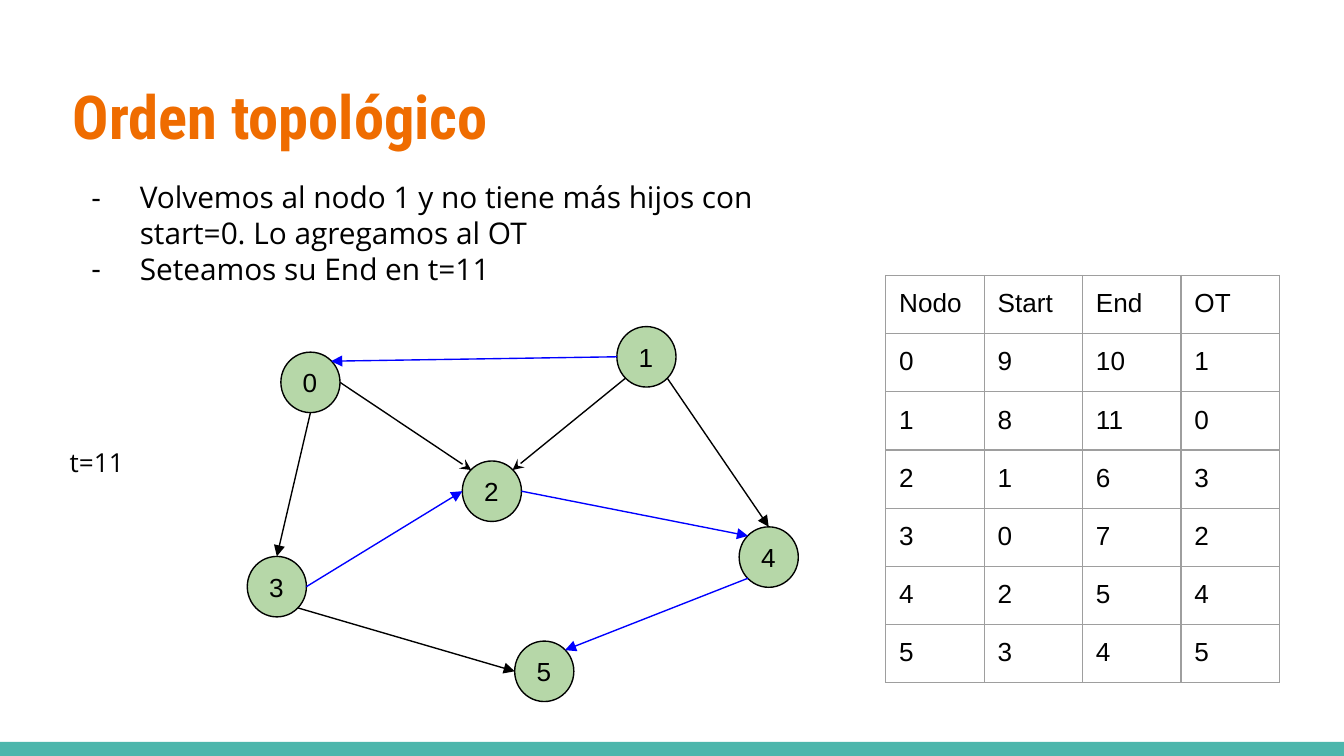
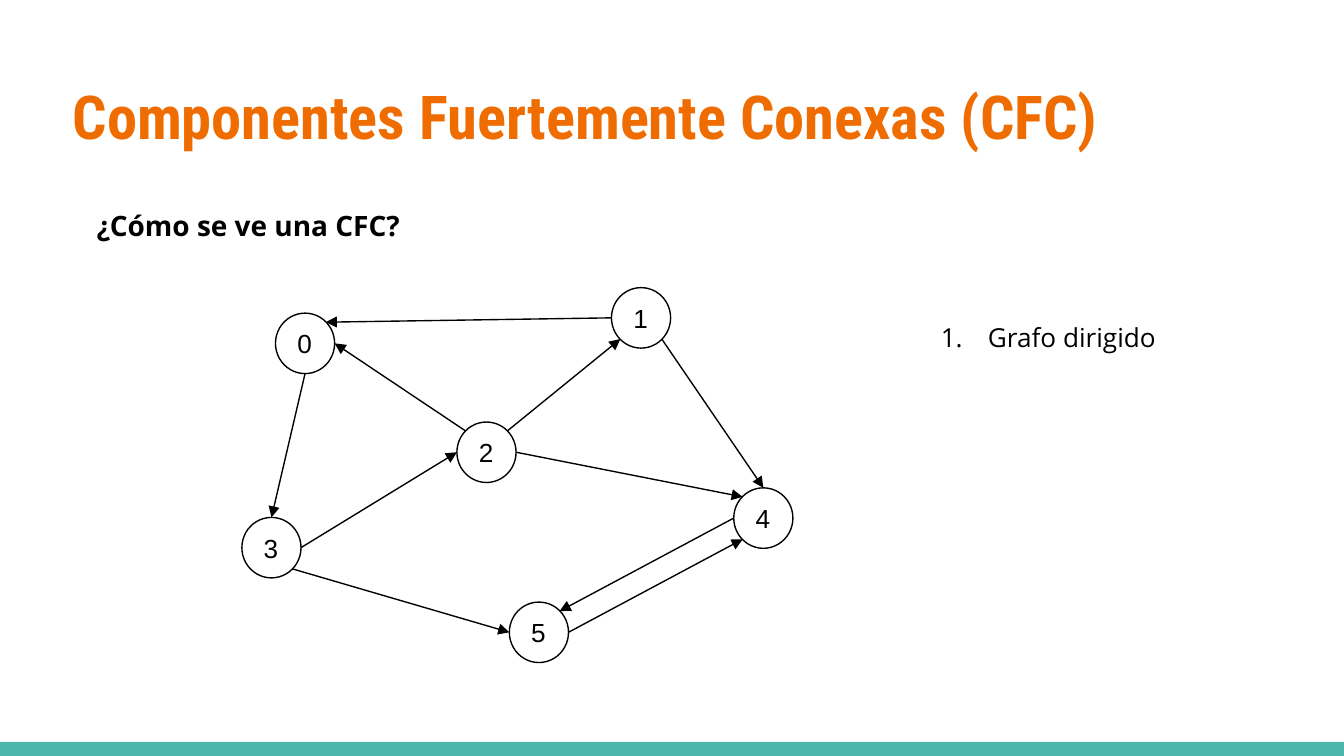
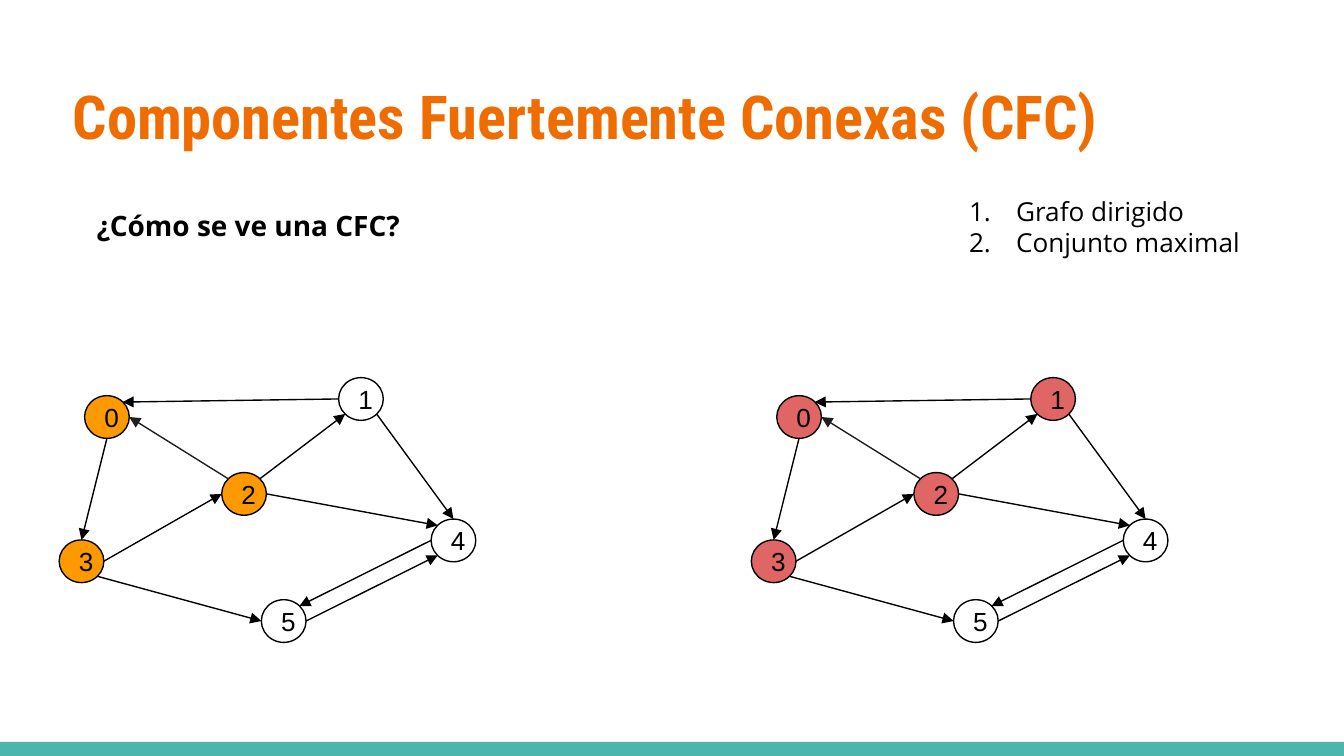
import lxml.etree
import pptx
import pptx.dml.color
import pptx.enum.shapes
import pptx.enum.text
import pptx.oxml.ns
import pptx.util

Inches = pptx.util.Inches
qn = pptx.oxml.ns.qn

HUES = {
    "black": "000000", "white": "FFFFFF", "title": "EF6C00", "band": "4DB6AC",
    "green": "B6D7A8", "orange": "FF9900", "red": "E06666", "blue": "0000FF",
    "dark": "1E1E1E", "grid": "9E9E9E",
}
WIDE = 10
HIGH = WIDE * 9 / 16
FULL = (4.10, 2.79)
SMALL = (3.10, 1.97)
DISC = (0.44, 0.45)
NODES = {"0": (0.25, 0.19), "2": (1.60, 1.00), "3": (0, 1.71),
         "5": (1.99, 2.34), "1": (2.75, 0), "4": (3.66, 1.49)}
SITES = {"N": (0.5, 0), "S": (0.5, 1), "E": (1, 0.5), "W": (0, 0.5),
         "NW": (0.15, 0.15), "NE": (0.85, 0.15),
         "SW": (0.15, 0.85), "SE": (0.85, 0.85)}
LINKS = ["0S 3N", "3E 2W", "2NW 0E", "1W 0NE", "2NE 1SW", "3SE 5W",
         "2E 4NW", "1SE 4N"]
CYCLE = LINKS + ["5E 4SW", "4W 5NE"]
ROWS = [
    ("Nodo", "Start", "End", "OT"),
    ("0", "9", "10", "1"),
    ("1", "8", "11", "0"),
    ("2", "1", "6", "3"),
    ("3", "0", "7", "2"),
    ("4", "2", "5", "4"),
    ("5", "3", "4", "5"),
]


def hue(name):
    """Return the named colour."""
    return pptx.dml.color.RGBColor.from_string(HUES[name])


def sub(node, tag, **attrs):
    """Append a child element with the given attributes."""
    return lxml.etree.SubElement(node, qn(tag), **attrs)


def tint(node, name):
    """Append a solid colour to an XML element."""
    sub(sub(node, "a:solidFill"), "a:srgbClr", val=HUES[name])


def put(frame, text, size=14, font="Open Sans", color="black", bold=False,
        mark=None, hang=0.36):
    """Write one paragraph per line of text, with an optional list mark."""
    for rank, line in enumerate(text.split("\n")):
        para = frame.add_paragraph() if rank else frame.paragraphs[0]
        para.alignment = pptx.enum.text.PP_ALIGN.LEFT
        para.space_before = pptx.util.Pt(0)
        run = para.add_run()
        run.text = line
        run.font.size = pptx.util.Pt(size)
        run.font.name = font
        run.font.bold = bold
        run.font.color.rgb = hue(color)
        if mark:
            props = para._p.get_or_add_pPr()
            props.set("marL", str(Inches(0.5)))
            props.set("indent", str(-Inches(hang)))
            sub(sub(props, "a:buClr"), "a:srgbClr", val=HUES["black"])
            sub(props, "a:buFont", typeface=font)
            if mark == "1.":
                sub(props, "a:buAutoNum", type="arabicPeriod")
            else:
                sub(props, "a:buChar", char=mark)


def pad(frame, anchor="TOP"):
    """Give a text frame even margins, wrapping and an anchor."""
    frame.margin_left = frame.margin_right = Inches(0.1)
    frame.margin_top = frame.margin_bottom = Inches(0.1)
    frame.word_wrap = True
    frame.auto_size = pptx.enum.text.MSO_AUTO_SIZE.NONE
    frame.vertical_anchor = pptx.enum.text.MSO_ANCHOR[anchor]
    return frame


def place(shape, box):
    """Move a placeholder to a box and return its text frame."""
    shape.left, shape.top, shape.width, shape.height = map(Inches, box)
    return pad(shape.text_frame)


def note(slide, box, text, **style):
    """Add a text box."""
    put(pad(slide.shapes.add_textbox(*map(Inches, box)).text_frame),
        text, **style)


def draw(slide, kind, box, fill, line=None):
    """Add a flat preset shape."""
    shape = slide.shapes.add_shape(
        pptx.enum.shapes.MSO_SHAPE[kind], *map(Inches, box))
    shape.shadow.inherit = False
    shape.fill.solid()
    shape.fill.fore_color.rgb = hue(fill)
    if line:
        shape.line.color.rgb = hue(line)
        shape.line.width = pptx.util.Pt(0.75)
    else:
        shape.line.fill.background()
    return shape


def arrow(slide, start, stop, color, end="tailEnd", tip="triangle"):
    """Add a straight arrow between two points."""
    line = slide.shapes.add_connector(
        pptx.enum.shapes.MSO_CONNECTOR.STRAIGHT, *map(Inches, start + stop))
    line.line.color.rgb = hue(color)
    line.line.width = pptx.util.Pt(0.75)
    props = line.element.spPr
    sub(props.find(qn("a:ln")), "a:" + end, type=tip)
    sub(props, "a:effectLst")


def graph(slide, box, links, fills, paint=None, back=()):
    """Draw the nodes and links of the graph, scaled to its box."""
    left, top, wide, high = box
    across, down = wide / FULL[0], high / FULL[1]

    def point(node, site):
        """Return the place of a site on a node."""
        (x, y), (dx, dy) = NODES[node], SITES[site]
        return (left + (x + dx * DISC[0]) * across,
                top + (y + dy * DISC[1]) * down)

    for name, (x, y) in NODES.items():
        disc = draw(slide, "OVAL", (left + x * across, top + y * down,
                                    DISC[0] * across, DISC[1] * down),
                    fills.get(name, "white"), "black")
        put(pad(disc.text_frame, "MIDDLE"), name, font="Arial")
    for link in links:
        start, stop = (point(end[0], end[1:]) for end in link.split())
        style = {"end": "headEnd", "tip": "stealth"} if link in back else {}
        arrow(slide, start, stop, (paint or {}).get(link, "black"), **style)


def table(slide, box, rows):
    """Add a plain ruled table."""
    grid = slide.shapes.add_table(
        len(rows), len(rows[0]), *map(Inches, box)).table
    grid.first_row = grid.horz_banding = False
    for r, row in enumerate(rows):
        for c, text in enumerate(row):
            cell = grid.cell(r, c)
            cell.margin_left = cell.margin_right = Inches(0.1)
            cell.margin_top = cell.margin_bottom = Inches(0.1)
            put(cell.text_frame, text, font="Arial")
            props = cell._tc.get_or_add_tcPr()
            for side in ("a:lnL", "a:lnR", "a:lnT", "a:lnB"):
                tint(sub(props, side, w=str(pptx.util.Pt(0.75))), "grid")
            cell.fill.background()


def start(deck, title, wide, items, box, **style):
    """Add a slide with its title and its list."""
    slide = deck.slides.add_slide(deck.slide_layouts[1])
    put(place(slide.shapes.title, (0.44, 0.49, wide, 0.77)), title,
        size=32.4, font="Roboto Condensed", color="title", bold=True)
    put(place(slide.placeholders[1], box), items, **style)
    return slide


def band(deck, slide):
    """Move a bottom band onto the slide master."""
    strip = draw(slide, "RECTANGLE", (0, 5.52, WIDE, HIGH - 5.52), "band")
    strip.element.nvSpPr.cNvPr.set("id", "20")
    deck.slide_master.shapes.element.insert(2, strip.element)


def order(deck):
    """Build the slide on topological order."""
    slide = start(
        deck, "Orden topológico", 3.37,
        "Volvemos al nodo 1 y no tiene más hijos con start=0. "
        "Lo agregamos al OT\nSeteamos su End en t=11",
        (0.44, 1.23, 5.85, 1.01), size=16, mark="-")
    blue = ("3E 2W", "1W 0NE", "4SW 5NE", "2E 4NW")
    graph(slide, (1.84, 2.43, *FULL), LINKS + ["4SW 5NE"],
          dict.fromkeys(NODES, "green"), dict.fromkeys(blue, "blue"),
          ("2NW 0E", "2NE 1SW"))
    table(slide, (6.59, 2.05, 2.93, 3.03), ROWS)
    note(slide, (0.42, 3.22, 0.66, 0.44), "t=11")
    return slide


def parts(deck, items, box, views):
    """Build a slide on strongly connected components."""
    slide = start(deck, "Componentes Fuertemente Conexas (CFC)", 8.08,
                  items, box, mark="1.", hang=0.35)
    note(slide, (0.62, 1.45, 7.36, 0.69), "¿Cómo se ve una CFC?",
         size=15, bold=True)
    for area, fills, paint in views:
        graph(slide, area, CYCLE, fills, paint)


def main():
    """Build and save the deck."""
    deck = pptx.Presentation()
    deck.slide_width, deck.slide_height = Inches(WIDE), Inches(HIGH)
    band(deck, order(deck))
    parts(deck, "Grafo dirigido", (6.75, 2.29, 2.62, 0.44),
          [((1.80, 2.14, *FULL), {}, {})])
    dark = {"2NW 0E": "dark"}
    parts(deck, "Grafo dirigido\nConjunto maximal", (6.96, 1.35, 2.62, 0.67),
          [((0.44, 2.81, *SMALL), dict.fromkeys("023", "orange"), dark),
           ((5.59, 2.81, *SMALL), dict.fromkeys("0123", "red"), dark)])
    deck.save("out.pptx")


if __name__ == "__main__":
    main()
